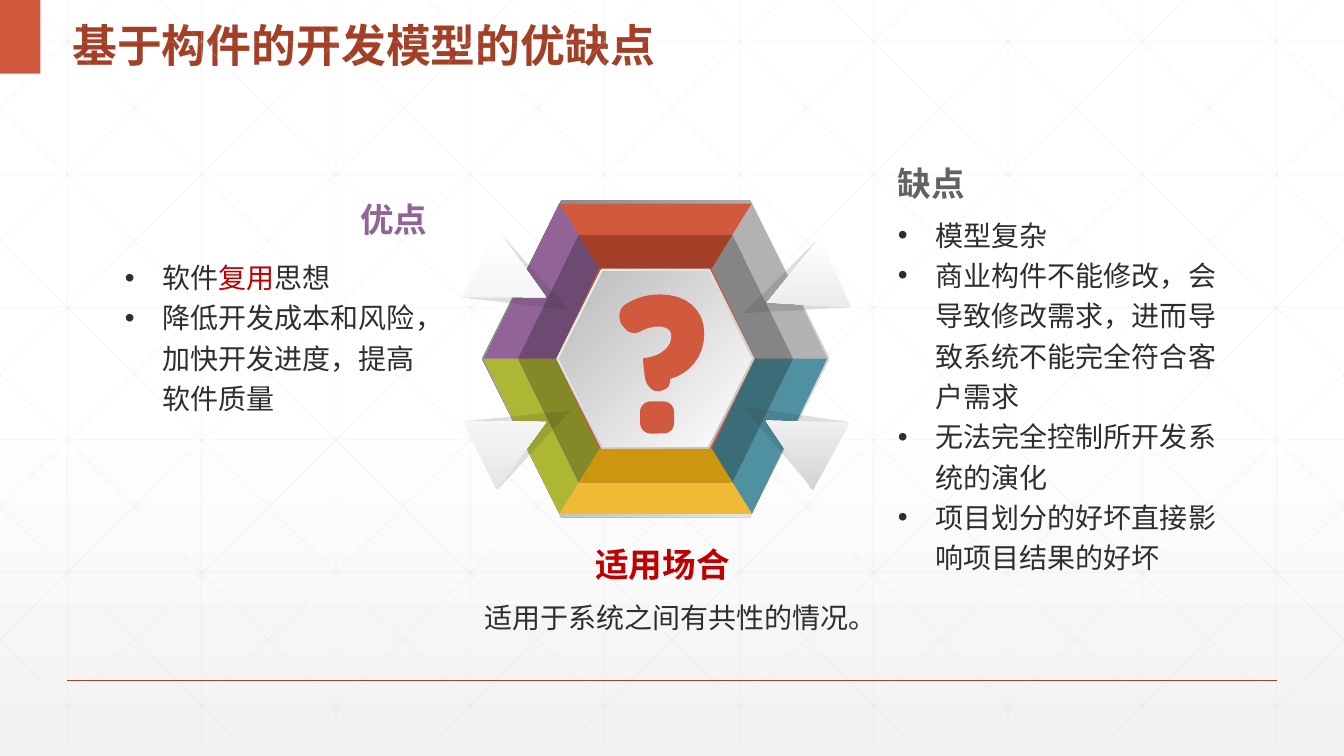
"""Slide on the pros, cons and use of component-based development."""
from lxml.etree import SubElement
from pptx import Presentation
from pptx.dml.color import RGBColor
from pptx.enum.lang import MSO_LANGUAGE_ID
from pptx.enum.shapes import MSO_CONNECTOR, MSO_SHAPE
from pptx.enum.text import MSO_ANCHOR, PP_ALIGN
from pptx.oxml.ns import qn
from pptx.util import Cm, Pt

WIDE, HIGH = 33.87, 19.05
STEP = WIDE / 10
MID_X, MID_Y = 16.52, 9.04
CJK = "Noto Sans CJK SC"
HUES = {
    "grid": "D9D9D9", "red": "D15A3E", "rust": "A43F27", "ink": "2D2E2D",
    "crimson": "C00000", "slate": "616361", "plum": "926397", "grape": "6D4A71",
    "grey": "B2B2B2", "stone": "858585", "teal": "4F91A1", "pine": "3B6D79",
    "gold": "F0BA34", "amber": "CC960F", "lime": "AEB733", "moss": "828926",
    "shade": "373937", "white": "FFFFFF", "mist": "F2F2F2", "steel": "808080",
    "silver": "BFBFBF", "ash": "BABABA", "wing1": "D3D3D4", "wing2": "E2E3E4",
    "wing3": "E4E5E6", "wing4": "F0F1F1",
}
PLATES = [
    (8.74, 7.98, ("steel", "mist"), 45),
    (8.53, 7.8, "grey", 0),
    (6.83, 6.25, "red", 0),
    (4.98, 4.55, ("silver", "mist"), 225),
    (4.85, 4.42, ("white", "ash"), 225),
]
RINGS = [(4.33, 2.43, 3.91), (3.47, 1.94, 3.12), (2.51, 1.42, 2.27)]
FACES = [("red", "rust"), ("grey", "stone"), ("teal", "pine"),
         ("gold", "amber"), ("lime", "moss"), ("plum", "grape")]
WINGS = [
    (19.82, 10.86, 20.12, 11.05, 298.8, "wing1"),
    (19.88, 7.38, 20.19, 7.24, 246.1, "wing2"),
    (13.25, 10.91, 12.93, 11.05, 63.5, "wing3"),
    (13.22, 7.23, 12.93, 7.06, 117.4, "wing4"),
]
HOOK = [
    (17.3, 7.42, 17.75, 7.8, 17.75, 8.41),
    (17.75, 8.99, 17.37, 9.42, 16.89, 9.55),
    (16.89, 9.55, 16.89, 9.6, 16.87, 9.7),
    (16.84, 9.78, 16.71, 9.86, 16.56, 9.86),
    (16.43, 9.86, 16.28, 9.7, 16.26, 9.53),
    (16.23, 9.37, 16.21, 9.19, 16.21, 9.03),
    (16.74, 8.97, 16.92, 8.69, 16.92, 8.48),
    (16.92, 8.31, 16.81, 8.23, 16.59, 8.23),
    (16.46, 8.23, 16.33, 8.26, 16.18, 8.33),
    (16.05, 8.43, 15.85, 8.41, 15.75, 8.28),
    (15.72, 8.25, 15.7, 8.21, 15.67, 8.18),
    (15.57, 8.03, 15.6, 7.8, 15.72, 7.7),
    (15.98, 7.52, 16.28, 7.42, 16.64, 7.42),
]


def hue(name):
    """Return the named colour."""
    return RGBColor.from_string(HUES[name])


def fade(shape, share):
    """Make the colours of a shape partly clear."""
    for node in shape._element.spPr.iter(qn("a:srgbClr")):
        SubElement(node, qn("a:alpha"), val=str(share * 1000))


def blend(fill, names, turn, start=0):
    """Fill with a two-colour gradient, its angle clockwise."""
    fill.gradient()
    fill.gradient_angle = 360 - turn
    for stop, name, place in zip(fill.gradient_stops, names, (start, 1)):
        stop.color.rgb = hue(name)
        stop.position = place


def paint(shape, look, turn=0):
    """Give a shape a plain or gradient fill, no line and no shadow."""
    shape.shadow.inherit = False
    shape.line.fill.background()
    if isinstance(look, tuple):
        blend(shape.fill, look, turn)
        shape._element.spPr.find(qn("a:gradFill")).set("rotWithShape", "0")
    else:
        shape.fill.solid()
        shape.fill.fore_color.rgb = hue(look)


def block(slide, kind, mid, size, look, turn=0, spin=0):
    """Add a preset shape around its middle."""
    (x, y), (w, h) = mid, size
    shape = slide.shapes.add_shape(kind, Cm(x - w / 2), Cm(y - h / 2), Cm(w), Cm(h))
    paint(shape, look, turn)
    shape.rotation = spin
    return shape


def patch(slide, points, look):
    """Add a closed outline through points."""
    spots = [(Cm(x), Cm(y)) for x, y in points]
    form = slide.shapes.build_freeform(*spots[0])
    form.add_line_segments(spots[1:], close=True)
    paint(form.convert_to_shape(), look)


def rule(slide, x1, y1, x2, y2, look="grid", width=0.5):
    """Add a thin straight line."""
    line = slide.shapes.add_connector(
        MSO_CONNECTOR.STRAIGHT, Cm(x1), Cm(y1), Cm(x2), Cm(y2))
    line.line.color.rgb = hue(look)
    line.line.width = Pt(width)
    SubElement(line._element.spPr, qn("a:effectLst"))
    return line


def write(frame, text, size=20, font="Arial", look="ink", bold=False, hot="",
          align=PP_ALIGN.LEFT, anchor=MSO_ANCHOR.TOP, space=1.0, dots=False):
    """Fill a frame with text, one paragraph a line, with hot words in red."""
    frame.word_wrap = True
    frame.vertical_anchor = anchor
    for i, row in enumerate(text.split("\n")):
        para = frame.add_paragraph() if i else frame.paragraphs[0]
        para.alignment, para.line_spacing = align, space
        if dots:
            props = para._p.get_or_add_pPr()
            props.set("marL", str(Cm(0.95)))
            props.set("indent", str(-Cm(0.95)))
            SubElement(props, qn("a:buFont"), typeface="Arial")
            SubElement(props, qn("a:buChar"), char="•")
        for part in row.partition(hot) if hot else [row]:
            if not part:
                continue
            run = para.add_run()
            run.text = part
            run.font.size, run.font.bold, run.font.name = Pt(size), bold, font
            run.font.language_id = MSO_LANGUAGE_ID.SIMPLIFIED_CHINESE
            run.font.color.rgb = hue("crimson" if part == hot else look)
            SubElement(run.font._element, qn("a:ea"), typeface=font)


def label(slide, x, y, w, h, text, **form):
    """Add a text box without margins."""
    frame = slide.shapes.add_textbox(Cm(x), Cm(y), Cm(w), Cm(h)).text_frame
    frame.margin_left = frame.margin_right = 0
    frame.margin_top = frame.margin_bottom = 0
    write(frame, text, **form)


def grid(slide):
    """Draw the faint net of upright, level and slanted lines."""
    deep, run = 18.72, 18.94
    ends = [((i + 0.5) * STEP, 0, (i + 0.5) * STEP, deep) for i in range(10)]
    ends += [(0, 1.06 + 3.34 * i, WIDE, 1.06 + 3.34 * i) for i in range(6)]
    for i in range(-5, 10):
        top = 0.63 + STEP * i
        x1, x2 = max(top, 0), min(top + run, WIDE)
        y1, y2 = ((x - top) * deep / run for x in (x1, x2))
        ends += [(x1, y1, x2, y2), (WIDE - x1, y1, WIDE - x2, y2)]
    for spot in ends:
        fade(rule(slide, *spot), 25)


def corners(side, top, rise):
    """List the six corners of a ring, clockwise from top left."""
    return [(MID_X + x, MID_Y + y) for x, y in (
        (-top, -rise), (top, -rise), (side, 0), (top, rise), (-top, rise), (-side, 0))]


def badge(slide):
    """Draw the bevelled hexagon with its wings and question mark."""
    for w, h, look, turn in PLATES:
        block(slide, MSO_SHAPE.HEXAGON, (MID_X, MID_Y), (w, h), look, turn)
    rings = [corners(*ring) for ring in RINGS]
    for i, pair in enumerate(FACES):
        j = (i + 1) % 6
        for out, inner, look in zip(rings, rings[1:], pair):
            patch(slide, [out[i], out[j], inner[j], inner[i]], look)
    kind = MSO_SHAPE.ISOSCELES_TRIANGLE
    for x1, y1, x2, y2, spin, look in WINGS:
        fade(block(slide, kind, (x1, y1), (1.91, 2.51), "shade", spin=spin), 16)
        block(slide, kind, (x2, y2), (1.93, 1.88), ("white", look), 90, spin)
    points = [HOOK[-1][4:]]
    for ax, ay, bx, by, cx, cy in HOOK:
        x, y = points[-1]
        for t in (k / 8 for k in range(1, 9)):
            s = 1 - t
            a, b, c, d = s ** 3, 3 * s * s * t, 3 * s * t * t, t ** 3
            points.append((a * x + b * ax + c * bx + d * cx,
                           a * y + b * ay + c * by + d * cy))
    patch(slide, points, "red")
    dot = block(slide, MSO_SHAPE.ROUNDED_RECTANGLE, (16.56, 10.52), (0.86, 0.81), "red")
    dot.adjustments[0] = 0.33


def main():
    """Build and save the slide."""
    deck = Presentation()
    deck.slide_width, deck.slide_height = Cm(WIDE), Cm(HIGH)
    slide = deck.slides.add_slide(deck.slide_layouts[5])
    blend(slide.background.fill, ("white", "mist"), 90, 0.53)
    grid(slide)
    rule(slide, STEP / 2, 17.15, WIDE - STEP / 2, 17.15, "rust", 1)
    block(slide, MSO_SHAPE.RECTANGLE, (0.51, 0.93), (1.02, 1.86), "red")
    title = slide.shapes.title
    title.left, title.top, title.width, title.height = Cm(1.57), 0, Cm(19.18), Cm(1.85)
    head = {"bold": True, "anchor": MSO_ANCHOR.MIDDLE}
    write(title.text_frame, "基于构件的开发模型的优缺点", size=32, look="rust",
          space=1.3, **head)
    badge(slide)
    items = {"font": CJK, "space": 1.2, "dots": True}
    label(slide, 22.63, 3.91, 8.31, 1.4, "缺点", size=24, look="slate", **head)
    label(slide, 22.63, 5.33, 8.64, 9.09,
          "模型复杂\n商业构件不能修改，会导致修改需求，进而导致系统不能完全符合客户需求\n"
          "无法完全控制所开发系统的演化\n项目划分的好坏直接影响项目结果的好坏", **items)
    label(slide, 3.28, 4.62, 7.49, 1.78, "优点", size=24, look="plum",
          align=PP_ALIGN.RIGHT, **head)
    label(slide, 3.15, 6.4, 7.49, 4.32,
          "软件复用思想\n降低开发成本和风险，加快开发进度，提高软件质量", hot="复用", **items)
    label(slide, 12.62, 13.82, 8.15, 0.81, "适用场合", size=24, look="crimson",
          align=PP_ALIGN.CENTER, **head)
    label(slide, 11.66, 14.96, 9.73, 1.4, "适用于系统之间有共性的情况。",
          align=PP_ALIGN.RIGHT, space=1.2)
    deck.save("out.pptx")


if __name__ == "__main__":
    main()
